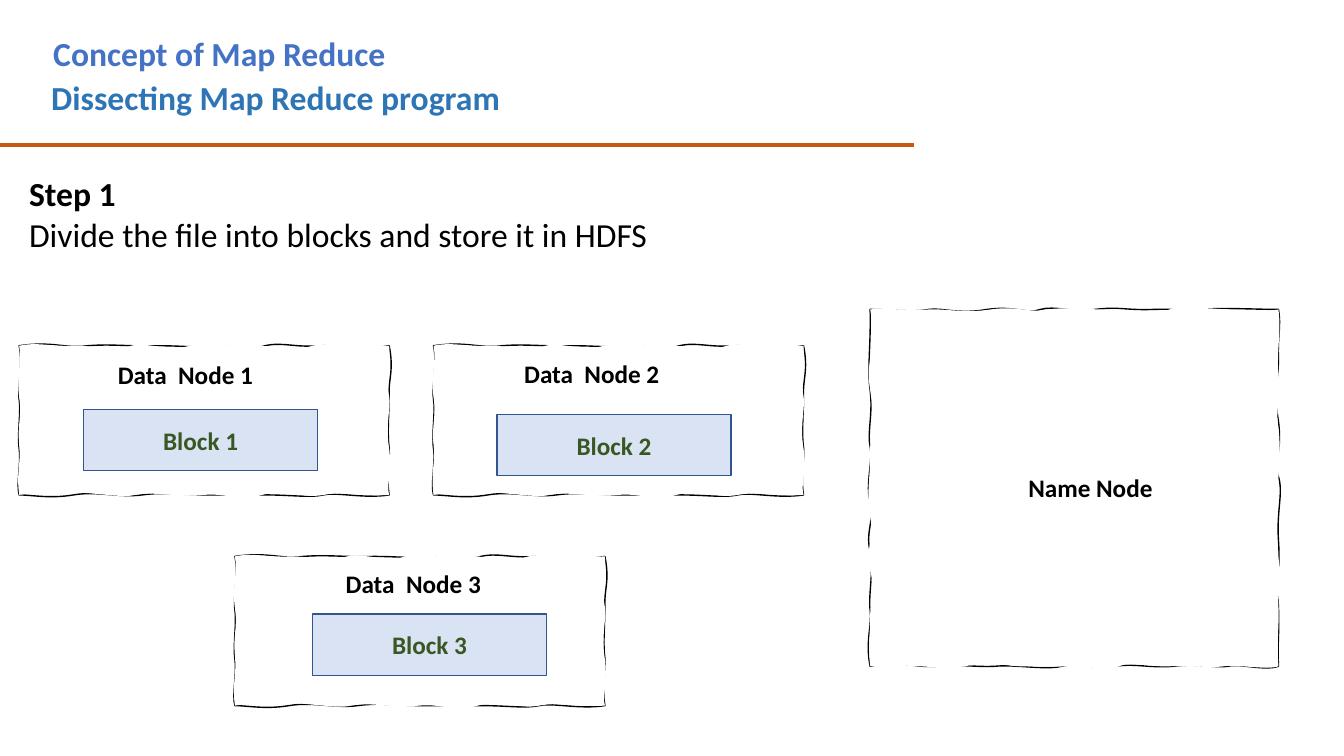
from dataclasses import dataclass

from lxml import etree
from pptx import Presentation
from pptx.dml.color import RGBColor
from pptx.enum.shapes import MSO_CONNECTOR, MSO_SHAPE
from pptx.enum.text import MSO_ANCHOR, MSO_AUTO_SIZE, PP_ALIGN
from pptx.oxml.ns import qn
from pptx.slide import Slide
from pptx.util import Emu, Pt

STRAIGHT = MSO_CONNECTOR.STRAIGHT
RECTANGLE = MSO_SHAPE.RECTANGLE
MIDDLE = MSO_ANCHOR.MIDDLE
FIT_SHAPE = MSO_AUTO_SIZE.SHAPE_TO_FIT_TEXT
LEFT, CENTER = PP_ALIGN.LEFT, PP_ALIGN.CENTER

BLACK = RGBColor(0x00, 0x00, 0x00)
WHITE = RGBColor(0xFF, 0xFF, 0xFF)
TITLE_BLUE = RGBColor(0x44, 0x72, 0xC4)
SUBTITLE_BLUE = RGBColor(0x2E, 0x75, 0xB6)
RULE_ORANGE = RGBColor(0xC5, 0x5A, 0x11)
BLOCK_FILL = RGBColor(0xDA, 0xE3, 0xF3)
BLOCK_LINE = RGBColor(0x32, 0x54, 0x91)
BLOCK_TEXT = RGBColor(0x38, 0x57, 0x23)
FONT = "Calibri"

# The slide is a grid of square cells, 100 to the inch
CELL = 9144
COLS, ROWS = 1333, 750
LABEL_W, LABEL_H = 331, 40
BLOCK_W, BLOCK_H = 232, 61

# Each curve is two control points and an end point, clockwise from top left
Curve = tuple[int, int, int, int, int, int]


@dataclass(frozen=True)
class Sketch:
    """A hand-drawn frame: a stroke, partly covered by a looser fill."""
    w: int
    h: int
    stroke: tuple[Curve, ...]
    fill: tuple[Curve, ...]


@dataclass(frozen=True)
class Label:
    lines: tuple[str, ...]
    col: int
    row: int
    w: int = LABEL_W
    h: int = LABEL_H
    size: int = 18
    color: RGBColor = BLACK
    align: PP_ALIGN = LEFT
    wrap: bool = True


@dataclass(frozen=True)
class DataNode:
    number: int
    frame: tuple[int, int]
    label: tuple[int, int]
    block: tuple[int, int]


DATA_SKETCH = Sketch(
    367, 148,
    stroke=(
        (33, -5, 45, 3, 68, 0), (92, -2, 111, 1, 137, 0), (163, 0, 170, 2, 187, 0),
        (204, -1, 228, 5, 244, 0), (261, -4, 273, 2, 298, 0), (324, -1, 338, 5, 367, 0),
        (372, 25, 366, 33, 367, 50), (367, 67, 365, 86, 367, 101), (368, 116, 364, 129, 367, 148),
        (342, 152, 315, 145, 302, 148), (288, 151, 270, 148, 244, 148), (219, 148, 206, 148, 183, 148),
        (161, 148, 144, 145, 122, 148), (100, 151, 77, 144, 54, 148), (30, 152, 13, 148, 0, 148),
        (-3, 138, 2, 117, 0, 102), (-2, 88, 2, 65, 0, 53), (-2, 41, 4, 18, 0, 0)),
    fill=(
        (17, -4, 33, 1, 54, 0), (75, 0, 97, 5, 111, 0), (126, -4, 150, 6, 169, 0),
        (187, -5, 200, 1, 230, 0), (259, 0, 276, 5, 291, 0), (306, -4, 345, 1, 367, 0),
        (368, 12, 364, 39, 367, 50), (369, 61, 363, 79, 367, 102), (370, 126, 364, 138, 367, 148),
        (339, 150, 323, 144, 302, 148), (281, 152, 264, 142, 241, 148), (217, 155, 207, 146, 183, 148),
        (160, 151, 132, 144, 115, 148), (98, 153, 53, 139, 0, 148),
        (-3, 124, 2, 119, 0, 98), (-2, 77, 3, 71, 0, 51), (-3, 31, 3, 15, 0, 0)))

NAME_SKETCH = Sketch(
    405, 354,
    stroke=(
        (19, 0, 44, 3, 58, 0), (71, -2, 87, 5, 116, 0), (144, -4, 155, 5, 169, 0),
        (183, -4, 198, 3, 223, 0), (248, -3, 252, 1, 281, 0), (310, -1, 304, 3, 327, 0),
        (349, -2, 383, 0, 405, 0),
        (408, 17, 404, 26, 405, 49), (405, 71, 400, 80, 405, 111), (409, 142, 400, 151, 405, 166),
        (410, 182, 403, 199, 405, 229), (407, 259, 403, 264, 405, 295), (406, 326, 404, 325, 405, 354),
        (391, 359, 367, 351, 355, 354), (343, 356, 325, 351, 301, 354), (277, 356, 263, 351, 243, 354),
        (223, 357, 204, 350, 190, 354), (175, 358, 142, 352, 124, 354), (106, 355, 91, 352, 66, 354),
        (41, 356, 31, 347, 0, 354),
        (-5, 329, 2, 314, 0, 298), (-2, 283, 4, 259, 0, 240), (-5, 220, 5, 208, 0, 191),
        (-5, 175, 3, 150, 0, 136), (-3, 122, 3, 103, 0, 80), (-3, 58, 1, 33, 0, 0)),
    fill=(
        (16, -2, 43, 2, 58, 0), (73, -1, 94, 4, 120, 0), (145, -4, 158, 4, 177, 0),
        (197, -3, 226, 1, 239, 0), (253, -1, 280, 6, 297, 0), (314, -6, 381, 5, 405, 0),
        (408, 24, 403, 39, 405, 66), (407, 94, 402, 97, 405, 118), (408, 139, 404, 165, 405, 181),
        (406, 196, 400, 217, 405, 247), (410, 276, 404, 277, 405, 295), (406, 313, 403, 328, 405, 354),
        (394, 358, 365, 352, 351, 354), (337, 356, 317, 353, 297, 354), (278, 355, 257, 349, 247, 354),
        (237, 359, 207, 353, 194, 354), (181, 355, 158, 354, 148, 354), (138, 354, 121, 349, 94, 354),
        (68, 358, 46, 351, 0, 354),
        (-2, 334, 0, 321, 0, 306), (0, 290, 4, 276, 0, 257), (-5, 238, 4, 229, 0, 205),
        (-4, 181, 0, 172, 0, 143), (0, 113, 5, 111, 0, 80), (-5, 50, 7, 34, 0, 0)))

HEADINGS = (
    Label(("Dissecting Map Reduce program",), 41, 71, 875, 50, 24, SUBTITLE_BLUE),
    Label(("Concept of Map Reduce",), 43, 28, 820, 50, 24, TITLE_BLUE),
    Label(("Step 1", "Divide the file into blocks and store it in HDFS"),
          19, 167, 701, 91, 24, wrap=False),
)
NAME_LABEL = Label(("Name Node",), 916, 464, align=CENTER)
DATA_NODES = (
    DataNode(1, (19, 343), (107, 352), (83, 406)),
    DataNode(2, (430, 343), (510, 351), (493, 411)),
    DataNode(3, (233, 552), (333, 559), (310, 609)),
)


def cells(*counts: int) -> list[Emu]:
    return [Emu(n * CELL) for n in counts]


def add_label(s: Slide, label: Label) -> None:
    tf = s.shapes.add_textbox(*cells(label.col, label.row, label.w, label.h)).text_frame
    tf.word_wrap = label.wrap
    tf.auto_size = FIT_SHAPE
    tf.text = "\n".join(label.lines)
    for i, p in enumerate(tf.paragraphs):
        p.alignment = label.align
        font = p.runs[0].font
        font.name, font.size, font.bold = FONT, Pt(label.size), i == 0
        font.color.rgb = label.color


def add_curves(path_list: etree._Element, sketch: Sketch, curves: tuple[Curve, ...],
               hidden: dict[str, str]) -> None:
    path = etree.SubElement(path_list, qn("a:path"), w=str(sketch.w), h=str(sketch.h), **hidden)
    start = etree.SubElement(path, qn("a:moveTo"))
    etree.SubElement(start, qn("a:pt"), x="0", y="0")
    for curve in curves:
        bezier = etree.SubElement(path, qn("a:cubicBezTo"))
        for x, y in zip(curve[::2], curve[1::2]):
            etree.SubElement(bezier, qn("a:pt"), x=str(x), y=str(y))
    etree.SubElement(path, qn("a:close"))


def add_frame(s: Slide, sketch: Sketch, col: int, row: int) -> None:
    builder = s.shapes.build_freeform(0, 0, scale=CELL)
    builder.add_line_segments([(sketch.w, 0), (sketch.w, sketch.h), (0, sketch.h)])
    sp = builder.convert_to_shape(*cells(col, row))
    sp.shadow.inherit = False
    sp.fill.solid()
    sp.fill.fore_color.rgb = WHITE
    sp.line.color.rgb, sp.line.width = BLACK, Pt(1)
    # Bend the straight outline into the two hand-drawn ones
    path_list = sp._element.find(".//" + qn("a:pathLst"))
    path_list.remove(path_list[0])
    add_curves(path_list, sketch, sketch.stroke, {"fill": "none"})
    add_curves(path_list, sketch, sketch.fill, {"stroke": "0"})


def add_block(s: Slide, text: str, col: int, row: int) -> None:
    sp = s.shapes.add_shape(RECTANGLE, *cells(col, row, BLOCK_W, BLOCK_H))
    sp.shadow.inherit = False
    sp.fill.solid()
    sp.fill.fore_color.rgb = BLOCK_FILL
    sp.line.color.rgb, sp.line.width = BLOCK_LINE, Pt(1)
    tf = sp.text_frame
    tf.text = text
    tf.vertical_anchor = MIDDLE
    p = tf.paragraphs[0]
    p.alignment = CENTER
    font = p.runs[0].font
    font.name, font.size, font.bold = FONT, Pt(18), True
    font.color.rgb = BLOCK_TEXT


def main() -> None:
    prs = Presentation()
    prs.slide_width, prs.slide_height = cells(COLS, ROWS)
    s = prs.slides.add_slide(prs.slide_layouts[6])

    # Headings and the rule below them
    for heading in HEADINGS:
        add_label(s, heading)
    rule = s.shapes.add_connector(STRAIGHT, *cells(0, 144, 907, 144))
    rule.line.color.rgb, rule.line.width = RULE_ORANGE, Pt(3)
    etree.SubElement(rule._element.spPr, qn("a:effectLst"))

    # Name node
    add_frame(s, NAME_SKETCH, 863, 307)
    add_label(s, NAME_LABEL)

    # Data nodes with their blocks
    for node in DATA_NODES:
        add_frame(s, DATA_SKETCH, *node.frame)
        add_label(s, Label((f"Data  Node {node.number}",), *node.label))
        add_block(s, f"Block {node.number}", *node.block)

    prs.save("out.pptx")


if __name__ == "__main__":
    main()
